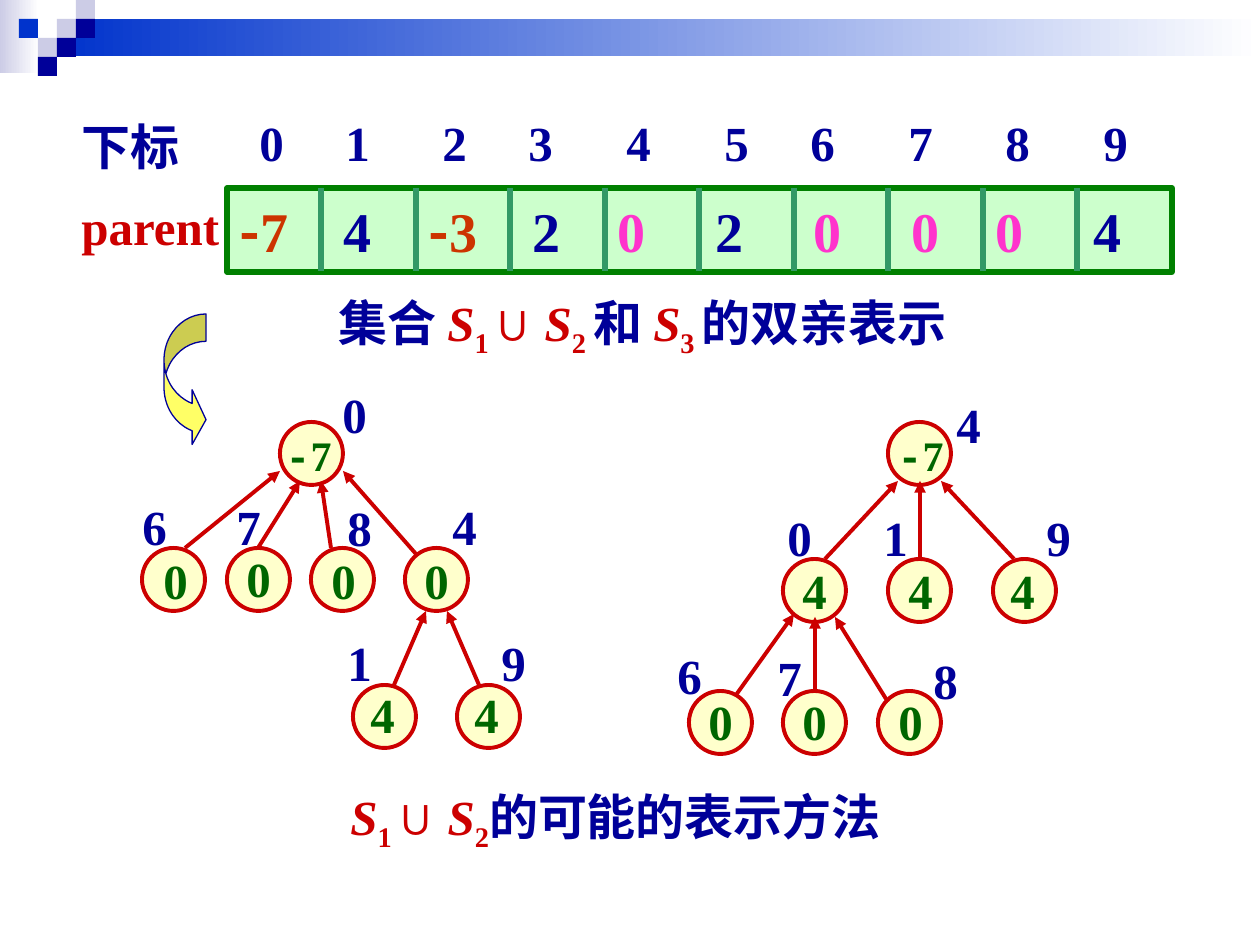
from dataclasses import dataclass
from typing import NamedTuple

from lxml.etree import SubElement
from pptx import Presentation
from pptx.dml.color import RGBColor
from pptx.enum.shapes import MSO_CONNECTOR, MSO_SHAPE
from pptx.enum.text import MSO_ANCHOR, MSO_AUTO_SIZE, PP_ALIGN
from pptx.oxml.ns import qn
from pptx.util import Emu, Pt

COLORS = {
    "navy": "000099", "blue": "0033CC", "lavender": "CCCCE6", "white": "FFFFFF",
    "red": "CC0000", "orange": "CC3300", "pink": "FF33CC", "dark green": "006600",
    "green": "008000", "mint": "CCFFCC", "teal": "339966", "cream": "FFFFCC",
    "yellow": "FFFF66",
}
SERIF, SANS, MONO, CJK = "Times New Roman", "Arial", "Courier New", "Noto Sans CJK SC"
CIRCLE = 63
SQUARE = 19


class Box(NamedTuple):
    left: int
    top: int
    width: int
    height: int


@dataclass
class Run:
    text: str
    color: str = "navy"
    font: str = SERIF
    size: int = 28
    italic: bool = False
    subscript: bool = False


class Node(NamedTuple):
    circle: tuple[int, int]
    value: str
    value_at: tuple[int, int]
    label: str
    label_at: tuple[int, int]


class Edge(NamedTuple):
    child: tuple[int, int]
    parent: tuple[int, int]


def px(length: float) -> Emu:
    return Emu(round(length * 914400 / 126))


def rgb(name: str) -> RGBColor:
    return RGBColor.from_string(COLORS[name])


def write(paragraph, runs: list[Run], tabs: tuple[int, ...] = ()) -> None:
    paragraph.alignment = PP_ALIGN.LEFT
    if tabs:
        tab_list = SubElement(paragraph._p.get_or_add_pPr(), qn("a:tabLst"))
        for position in tabs:
            SubElement(tab_list, qn("a:tab"), pos=str(px(position)), algn="l")
    for item in runs:
        run = paragraph.add_run()
        run.text = item.text
        values = {"name": item.font, "size": Pt(item.size), "bold": True, "italic": item.italic}
        for attribute, value in values.items():
            setattr(run.font, attribute, value)
        run.font.color.rgb = rgb(item.color)
        properties = run._r.get_or_add_rPr()
        SubElement(properties, qn("a:ea"), typeface=CJK)
        if item.subscript:
            properties.set("baseline", "-25000")


def add_text(slide, box: Box, *lines: list[Run], tabs: tuple[int, ...] = (),
             space_before: float = 0) -> None:
    frame = slide.shapes.add_textbox(*map(px, box)).text_frame
    frame.word_wrap = True
    frame.auto_size = MSO_AUTO_SIZE.SHAPE_TO_FIT_TEXT
    for index, runs in enumerate(lines):
        paragraph = frame.add_paragraph() if index else frame.paragraphs[0]
        if index:
            paragraph.space_before = Pt(space_before)
        write(paragraph, runs, tabs)


def add_shape(slide, kind, box: Box, fill: str, line: str = "", width: float = 0,
              fade_to: str = ""):
    shape = slide.shapes.add_shape(kind, *map(px, box))
    shape.shadow.inherit = False
    if fade_to:
        shape.fill.gradient()
        shape.fill.gradient_angle = 0
        for stop, color in zip(shape.fill.gradient_stops, (fill, fade_to)):
            stop.color.rgb = rgb(color)
    else:
        shape.fill.solid()
        shape.fill.fore_color.rgb = rgb(fill)
    if line:
        shape.line.color.rgb = rgb(line)
        shape.line.width = Pt(width)
    else:
        shape.line.fill.background()
    return shape


def add_line(slide, start: tuple[int, int], end: tuple[int, int], color: str,
             width: float, arrow: bool = False) -> None:
    line = slide.shapes.add_connector(MSO_CONNECTOR.STRAIGHT, *map(px, start + end))
    line.line.color.rgb = rgb(color)
    line.line.width = Pt(width)
    if arrow:
        SubElement(line.line._get_or_add_ln(), qn("a:tailEnd"), type="triangle")
    SubElement(line._element.spPr, qn("a:effectLst"))


def add_node(slide, node: Node) -> None:
    add_shape(slide, MSO_SHAPE.OVAL, Box(*node.circle, CIRCLE, CIRCLE), "cream", "red", 2.25)
    if node.value.startswith("-"):
        runs = [Run("-", "dark green", MONO, 24), Run(node.value[1:], "dark green", size=24)]
        add_text(slide, Box(*node.value_at, 84, 63), runs)
    else:
        add_text(slide, Box(*node.value_at, 53, 72), [Run(node.value, "dark green")])
    add_text(slide, Box(*node.label_at, 53, 72), [Run(node.label)])


def set_name(number: str, space: str = "") -> list[Run]:
    return [Run("S", "red", italic=True), Run(number + space, "red", subscript=True)]


def value_runs(values: list[int]) -> list[Run]:
    runs = []
    for index, value in enumerate(values):
        color = "orange" if value < 0 else "navy" if value else "pink"
        tab = "\t" if index else ""
        if value < 0:
            runs.append(Run(tab + "-", color, CJK, 32))
            tab = ""
        runs.append(Run(f"{tab}{abs(value)}", color, size=32))
    return runs


NODES = [
    # Left tree
    Node((280, 422), "-7", (273, 423), "0", (330, 378)),
    Node((142, 548), "0", (151, 544), "6", (130, 490)),
    Node((227, 548), "0", (234, 542), "7", (224, 490)),
    Node((311, 548), "0", (319, 544), "8", (335, 491)),
    Node((405, 548), "0", (412, 544), "4", (440, 490)),
    Node((353, 685), "4", (358, 678), "1", (335, 626)),
    Node((457, 685), "4", (462, 678), "9", (489, 626)),
    # Right tree
    Node((888, 422), "-7", (885, 423), "4", (944, 388)),
    Node((783, 559), "4", (790, 554), "0", (775, 501)),
    Node((888, 559), "4", (896, 554), "1", (871, 501)),
    Node((993, 559), "4", (998, 554), "9", (1034, 501)),
    Node((689, 691), "0", (696, 685), "6", (665, 639)),
    Node((783, 691), "0", (790, 685), "7", (765, 641)),
    Node((878, 691), "0", (886, 685), "8", (921, 644)),
]
EDGES = [
    Edge((185, 548), (280, 471)), Edge((258, 548), (300, 481)),
    Edge((331, 548), (321, 481)), Edge((416, 554), (343, 471)),
    Edge((394, 685), (426, 611)), Edge((479, 685), (447, 611)),
    Edge((825, 559), (898, 481)), Edge((920, 559), (920, 481)),
    Edge((1014, 559), (941, 481)), Edge((736, 695), (794, 614)),
    Edge((815, 691), (815, 617)), Edge((888, 702), (835, 617)),
]
INDEX_TABS = (86, 183, 269, 367, 465, 551, 649, 746, 844)
VALUE_TABS = (104, 189, 293, 378, 476, 574, 672, 756, 854)
PARENTS = [-7, 4, -3, 2, 0, 2, 0, 0, 0, 4]
SQUARES = [(3, 1, "lavender"), (4, 0, "lavender"), (4, 1, "navy"), (2, 2, "lavender"),
           (1, 1, "blue"), (3, 2, "navy"), (2, 3, "navy")]


def main() -> None:
    presentation = Presentation()
    presentation.slide_width, presentation.slide_height = px(1260), px(945)
    slide = presentation.slides.add_slide(presentation.slide_layouts[6])

    # Header band and squares
    add_shape(slide, MSO_SHAPE.RECTANGLE, Box(0, 0, 39, 73), "lavender", fade_to="white")
    add_shape(slide, MSO_SHAPE.RECTANGLE, Box(57, 19, 1203, 37), "blue", fade_to="white")
    for column, row, color in SQUARES:
        box = Box(column * SQUARE, row * SQUARE, SQUARE, SQUARE)
        add_shape(slide, MSO_SHAPE.RECTANGLE, box, color)

    # Parent array
    add_text(slide, Box(69, 110, 221, 152), [Run("下标")], [Run("parent", "red")],
             space_before=12.2)
    add_text(slide, Box(247, 106, 910, 72), [Run("\t".join(map(str, range(10))))],
             tabs=INDEX_TABS)
    array = Box(227, 188, 945, 84)
    frame = add_shape(slide, MSO_SHAPE.RECTANGLE, array, "mint", "green", 3).text_frame
    frame.vertical_anchor = MSO_ANCHOR.MIDDLE
    write(frame.paragraphs[0], value_runs(PARENTS), VALUE_TABS)
    for index in range(1, len(PARENTS)):
        x = array.left + array.width * index // len(PARENTS)
        add_line(slide, (x, array.top), (x, array.top + array.height - 1), "teal", 3)

    # Captions
    union = [*set_name("1", " "), Run("∪ ", "red", SANS)]
    add_text(slide, Box(326, 286, 730, 79),
             [Run("集合 "), *union, *set_name("2", " "), Run("和 "), *set_name("3", " "),
              Run("的双亲表示")])
    add_text(slide, Box(338, 780, 667, 79), [*union, *set_name("2"), Run("的可能的表示方法")])

    # Curved arrow and trees
    arrow = add_shape(slide, MSO_SHAPE.CURVED_RIGHT_ARROW, Box(164, 314, 42, 133),
                      "yellow", "navy", 0.75)
    for index, value in enumerate((0.65, 1.3, 0.33)):
        arrow.adjustments[index] = value
    for node in NODES:
        add_node(slide, node)
    for edge in EDGES:
        add_line(slide, edge.child, edge.parent, "red", 2.25, arrow=True)

    presentation.save("out.pptx")


if __name__ == "__main__":
    main()
